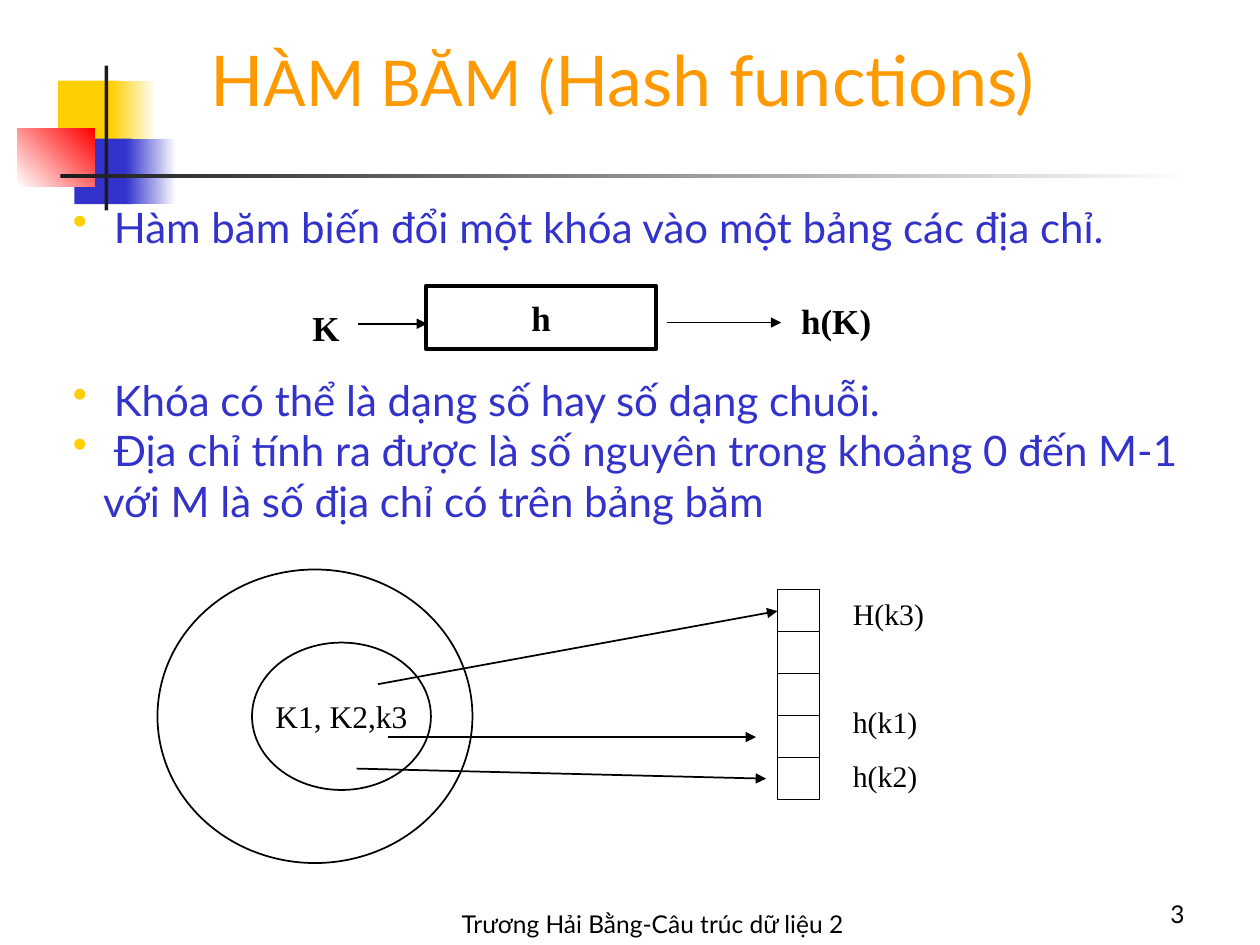
from dataclasses import dataclass

from lxml.etree import SubElement
from pptx import Presentation
from pptx.dml.color import RGBColor
from pptx.enum.shapes import MSO_CONNECTOR, MSO_SHAPE
from pptx.enum.text import MSO_ANCHOR, PP_ALIGN
from pptx.oxml.ns import qn
from pptx.util import Inches, Pt


@dataclass(frozen=True)
class Theme:
    white: str = "FFFFFF"
    black: str = "000000"
    charcoal: str = "1C1C1C"
    yellow: str = "FFCF01"
    blue: str = "3333CC"
    red: str = "FF0000"
    orange: str = "FF9900"
    sans: str = "Lato"
    serif: str = "Times New Roman"
    title_size: float = 40
    title_small_size: float = 36
    body_size: float = 24
    function_size: float = 20
    key_size: float = 18
    address_size: float = 17
    footer_size: float = 14


THEME = Theme()


def color(value):
    return RGBColor.from_string(value)


def write_span(para, text, size, font=THEME.sans, ink=THEME.black, bold=False):
    span = para.add_run()
    span.text = text
    span.font.size = Pt(size)
    span.font.name = font
    span.font.bold = bold
    span.font.color.rgb = color(ink)


def write_para(frame, text, align=PP_ALIGN.LEFT, before=0, bullet=False, **style):
    first = frame.paragraphs[0]
    para = frame.add_paragraph() if first.runs else first
    para.alignment = align
    para.space_before = Pt(before)
    if bullet:
        add_bullet(para)
    write_span(para, text, **style)
    return para


def add_bullet(para):
    properties = para._p.get_or_add_pPr()
    properties.set("marL", str(Inches(0.24)))
    properties.set("indent", str(Inches(-0.24)))
    bullet_color = SubElement(properties, qn("a:buClr"))
    SubElement(bullet_color, qn("a:srgbClr"), val=THEME.yellow)
    SubElement(properties, qn("a:buChar"), char="•")


def add_text_box(page, left, top, width, height, anchor=MSO_ANCHOR.TOP, wrap=True):
    box = page.shapes.add_textbox(Inches(left), Inches(top), Inches(width), Inches(height))
    frame = box.text_frame
    frame.word_wrap = wrap
    frame.vertical_anchor = anchor
    return frame


def add_figure(page, kind, left, top, width, height):
    shape = page.shapes.add_shape(kind, Inches(left), Inches(top), Inches(width), Inches(height))
    shape.shadow.inherit = False
    return shape


def add_block(page, left, top, width, height, start, end=None, angle=0):
    block = add_figure(page, MSO_SHAPE.RECTANGLE, left, top, width, height)
    block.line.fill.background()
    if end is None:
        block.fill.solid()
        block.fill.fore_color.rgb = color(start)
        return
    block.fill.gradient()
    block.fill.gradient_angle = angle
    for stop, value in zip(block.fill.gradient_stops, (start, end)):
        stop.color.rgb = color(value)


def add_outline(page, kind, left, top, width, height, weight=1.0):
    shape = add_figure(page, kind, left, top, width, height)
    shape.fill.background()
    shape.line.color.rgb = color(THEME.black)
    shape.line.width = Pt(weight)
    frame = shape.text_frame
    frame.word_wrap = False
    frame.vertical_anchor = MSO_ANCHOR.MIDDLE
    return frame


def add_arrow(page, start, end):
    points = [Inches(value) for value in (*start, *end)]
    arrow = page.shapes.add_connector(MSO_CONNECTOR.STRAIGHT, *points)
    arrow.line.color.rgb = color(THEME.black)
    arrow.line.width = Pt(1)
    SubElement(arrow.line._get_or_add_ln(), qn("a:tailEnd"), type="triangle")
    SubElement(arrow._element.spPr, qn("a:effectLst"))


def draw_ornament(page):
    add_block(page, 0.46, 0.64, 0.48, 0.52, THEME.yellow)
    add_block(page, 0.88, 0.64, 0.36, 0.52, THEME.yellow, THEME.white)
    add_block(page, 0.59, 1.1, 0.46, 0.52, THEME.blue)
    add_block(page, 1, 1.1, 0.4, 0.52, THEME.blue, THEME.white)
    add_block(page, 0.14, 1.02, 0.61, 0.46, THEME.white, THEME.red, angle=45)
    add_block(page, 0.83, 0.52, 0.03, 1.15, THEME.charcoal)
    add_block(page, 0.48, 1.38, 9, 0.03, THEME.charcoal, THEME.white)


def write_title(page):
    frame = add_text_box(page, 0.69, 0, 8.5, 1.25, MSO_ANCHOR.MIDDLE)
    para = write_para(frame, "H", align=PP_ALIGN.CENTER, size=THEME.title_size, ink=THEME.orange)
    write_span(para, "ÀM BĂM (", THEME.title_small_size, ink=THEME.orange)
    write_span(para, "Hash functions)", THEME.title_size, ink=THEME.orange)


def write_footer(page):
    frame = add_text_box(page, 3.12, 6.92, 4.12, 0.58, MSO_ANCHOR.BOTTOM)
    write_para(frame, "Trương Hải Bằng-Câu trúc dữ liệu 2",
               align=PP_ALIGN.CENTER, size=THEME.footer_size)
    frame = add_text_box(page, 7.42, 6.92, 2.08, 0.5, MSO_ANCHOR.BOTTOM)
    write_para(frame, "3", align=PP_ALIGN.RIGHT, size=THEME.footer_size)


def write_body(page):
    points = [
        (" Hàm băm biến đổi một khóa vào một bảng các địa chỉ.", 6),
        (" Khóa có thể là dạng số hay số dạng chuỗi.", 70),
        (" Địa chỉ tính ra được là số nguyên trong khoảng 0 đến M-1 "
         "với M là số địa chỉ có trên bảng băm", 0),
    ]
    frame = add_text_box(page, 0.48, 1.55, 9.17, 2.78)
    for text, before in points:
        write_para(frame, text, before=before, bullet=True, size=THEME.body_size, ink=THEME.blue)


def draw_function(page):
    style = dict(size=THEME.function_size, font=THEME.serif, bold=True)
    frame = add_outline(page, MSO_SHAPE.RECTANGLE, 3.38, 2.27, 1.83, 0.5, 2.25)
    write_para(frame, "h", align=PP_ALIGN.CENTER, **style)
    write_para(add_text_box(page, 2.38, 2.38, 0.41, 0.44, wrap=False), "K", **style)
    write_para(add_text_box(page, 6.26, 2.33, 0.87, 0.44), "h(K)", **style)
    add_arrow(page, (2.84, 2.57), (3.39, 2.57))
    add_arrow(page, (5.29, 2.56), (6.2, 2.56))


def draw_mapping(page):
    add_outline(page, MSO_SHAPE.OVAL, 1.25, 4.52, 2.5, 2.33)
    keys = add_outline(page, MSO_SHAPE.OVAL, 2, 5.1, 1.42, 1.17)
    write_para(keys, "K1, K2,k3", align=PP_ALIGN.CENTER, size=THEME.key_size, font=THEME.serif)
    cell = 1 / 3
    for row in range(5):
        add_outline(page, MSO_SHAPE.RECTANGLE, 6.17, 4.68 + row * cell, cell, cell, 0.75)
    addresses = add_text_box(page, 6.67, 4.68, 1.25, 1.68)
    for text, before in (("H(k3)", 10.6), ("h(k1)", 41), ("h(k2)", 10.6)):
        write_para(addresses, text, before=before, size=THEME.address_size, font=THEME.serif)
    add_arrow(page, (3, 5.43), (6.17, 4.85))
    add_arrow(page, (3.08, 5.85), (6, 5.85))
    add_arrow(page, (2.83, 6.1), (6.08, 6.18))


def main():
    deck = Presentation()
    deck.slide_width = Inches(10)
    deck.slide_height = Inches(7.5)
    page = deck.slides.add_slide(deck.slide_layouts[6])
    draw_ornament(page)
    write_footer(page)
    write_title(page)
    draw_function(page)
    write_body(page)
    draw_mapping(page)
    deck.save("out.pptx")


if __name__ == "__main__":
    main()
